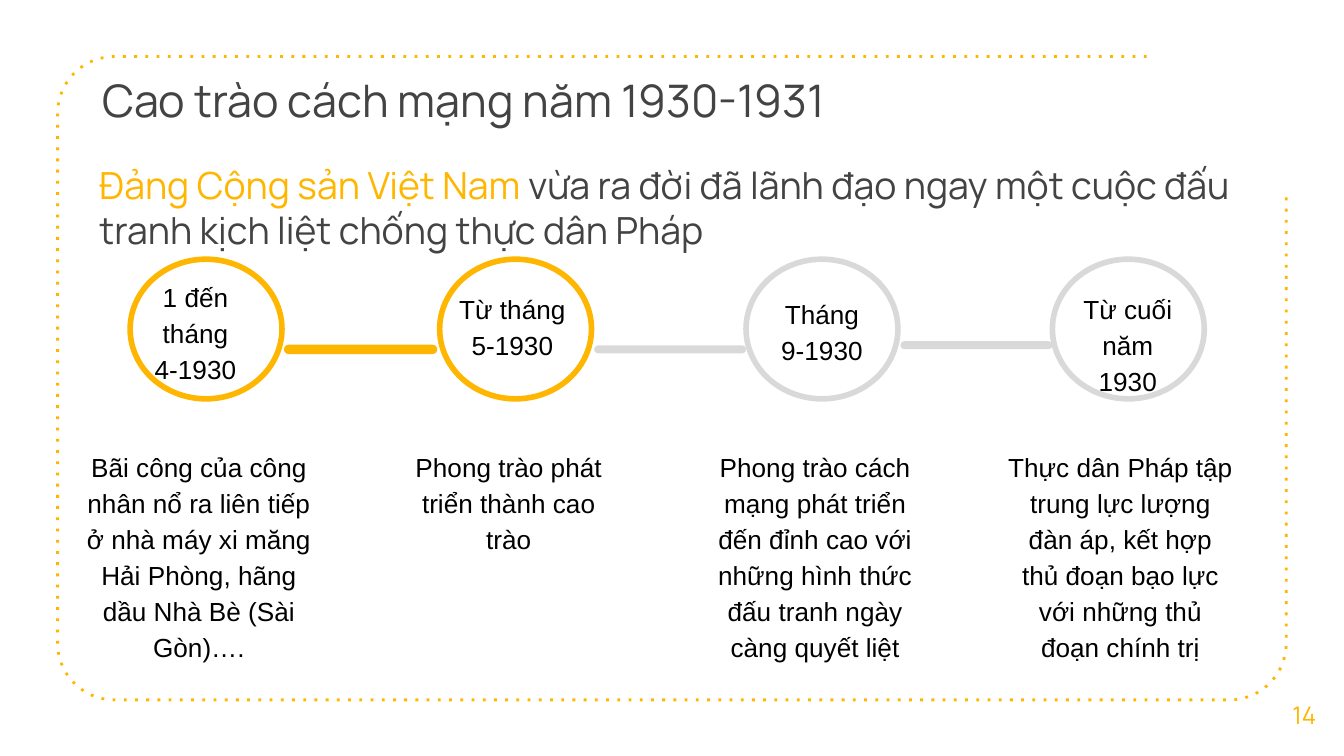
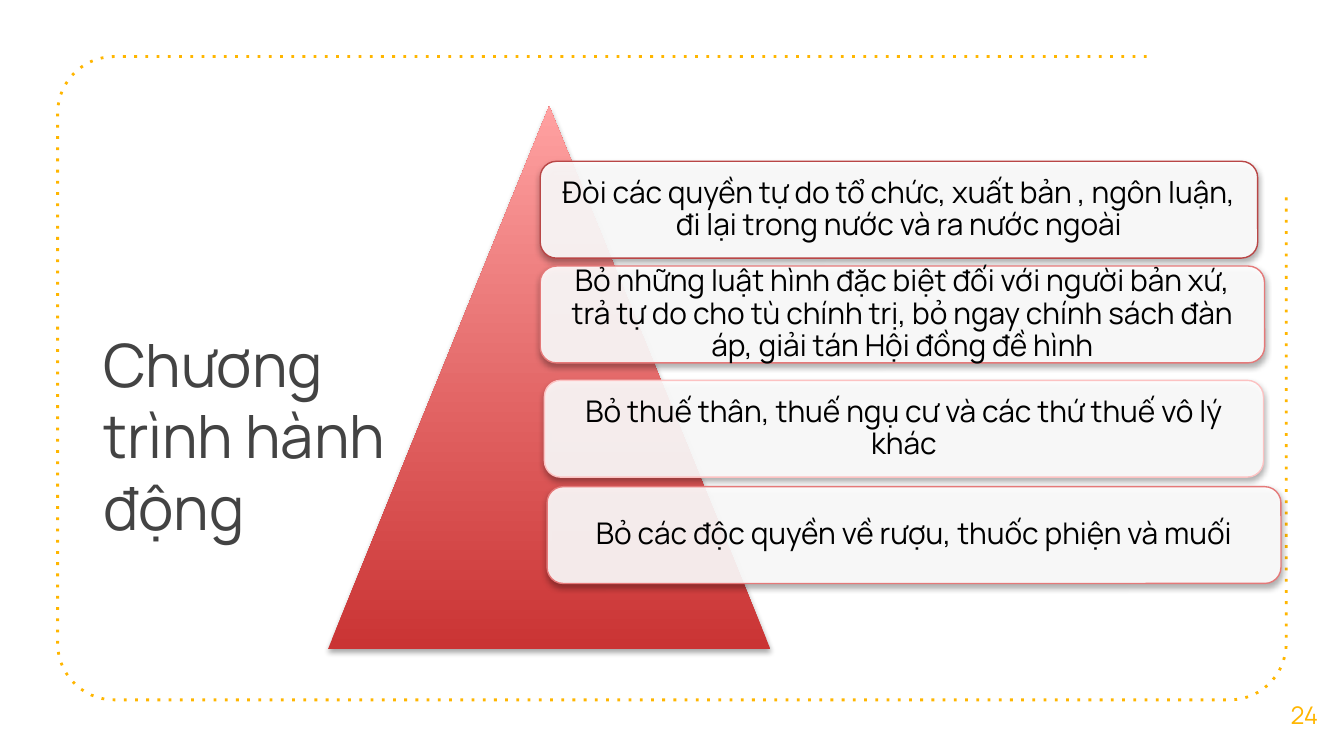
"""Builds two history slides: a timeline of 1930-1931 and a programme pyramid."""
from math import cos, pi, sin

from lxml.etree import SubElement
from pptx import Presentation
from pptx.dml.color import RGBColor
from pptx.enum.dml import MSO_LINE
from pptx.enum.shapes import MSO_SHAPE
from pptx.enum.text import MSO_ANCHOR, PP_ALIGN
from pptx.oxml.ns import qn
from pptx.util import Cm, Pt

GOLD = RGBColor(0xFF, 0xB6, 0x00)
GREY = RGBColor(0xD9, 0xD9, 0xD9)
DARK = RGBColor(0x43, 0x43, 0x43)
BLACK = RGBColor(0, 0, 0)
WHITE = RGBColor(0xFF, 0xFF, 0xFF)
RED = RGBColor(0xCA, 0x34, 0x34)
PINK = RGBColor(0xFF, 0xA1, 0xA1)
BRICK = RGBColor(0xB9, 0x46, 0x46)
CORAL = RGBColor(0xE5, 0x79, 0x79)
BLUSH = RGBColor(0xFC, 0xC2, 0xC2)

HEAD = "Cao trào cách mạng năm 1930-1931"
LEAD = [
    ("Đảng Cộng sản Việt Nam ", GOLD),
    ("vừa ra đời đã lãnh đạo ngay một cuộc đấu tranh kịch liệt chống thực dân Pháp", DARK),
]
STAGES = [
    dict(date="1 đến tháng 4-1930", color=GOLD, ring=2.46, label=(2.64, 4.98, 2.11), note=(1.32, 4.88),
         text="Bãi công của công nhân nổ ra liên tiếp ở nhà máy xi măng Hải Phòng, "
              "hãng dầu Nhà Bè (Sài Gòn)…."),
    dict(date="Từ tháng 5-1930", color=GOLD, ring=8.31, label=(8.25, 5.21, 2.87), note=(7.24, 4.75),
         text="Phong trào phát triển thành cao trào"),
    dict(date="Tháng 9-1930", color=GREY, ring=14.1, label=(14.48, 5.31, 2.11), note=(13.03, 4.75),
         text="Phong trào cách mạng phát triển đến đỉnh cao với những hình thức "
              "đấu tranh ngày càng quyết liệt"),
    dict(date="Từ cuối năm 1930", color=GREY, ring=19.89, label=(20.12, 5.21, 2.39), note=(18.8, 4.75),
         text="Thực dân Pháp tập trung lực lượng đàn áp, kết hợp thủ đoạn bạo lực "
              "với những thủ đoạn chính trị"),
]
BARS = [6.53, 6.53, 6.45]

GOAL = "Chương trình hành động"
CARDS = [
    (10.21, 3.05, 13.56, BRICK,
     "Đòi các quyền tự do tổ chức, xuất bản , ngôn luận, đi lại trong nước và ra nước ngoài"),
    (10.21, 5.03, 13.69, CORAL,
     "Bỏ những luật hình đặc biệt đối với người bản xứ, trả tự do cho tù chính trị, "
     "bỏ ngay chính sách đàn áp, giải tán Hội đồng đề hình"),
    (10.29, 7.19, 13.59, BLUSH, "Bỏ thuế thân, thuế ngụ cư và các thứ thuế vô lý khác"),
    (10.34, 9.2, 13.87, CORAL, "Bỏ các độc quyền về rượu, thuốc phiện và muối"),
]


def write(slide, text, box, size=14, color=BLACK, font="Manrope", align=PP_ALIGN.LEFT,
          anchor=MSO_ANCHOR.TOP, inset=0.25, space=None, after=None):
    frame = slide.shapes.add_textbox(*map(Cm, box)).text_frame
    frame.word_wrap = True
    frame.vertical_anchor = anchor
    frame.margin_left = frame.margin_right = Cm(inset)
    frame.margin_top = frame.margin_bottom = Cm(inset)
    para = frame.paragraphs[0]
    para.alignment = align
    para.line_spacing = space
    para.space_after = after
    runs = [(text, color)] if isinstance(text, str) else text
    for words, tint in runs:
        run = para.add_run()
        run.text = words
        run.font.name = font
        run.font.size = Pt(size)
        run.font.color.rgb = tint


def draw(slide, kind, box, fill=None, line=None, width=0.75):
    shape = slide.shapes.add_shape(kind, *map(Cm, box))
    shape.shadow.inherit = False
    if fill is None:
        shape.fill.background()
    else:
        shape.fill.solid()
        shape.fill.fore_color.rgb = fill
    if line is None:
        shape.line.fill.background()
    else:
        shape.line.color.rgb = line
        shape.line.width = Pt(width)
    return shape


def fade(color, percent):
    SubElement(color, qn("a:alpha"), val=str(percent * 1000))


def shade(shape):
    effects = shape.element.spPr.find(qn("a:effectLst"))
    outer = SubElement(effects, qn("a:outerShdw"), blurRad=str(Pt(3.1)), dist=str(Pt(1.8)),
                       dir="5400000", rotWithShape="0")
    fade(SubElement(outer, qn("a:srgbClr"), val=str(BLACK)), 35)


def border(slide):
    left, top, right, low, curve = 1.09, 1.07, 24.31, 13.23, 1.07
    corners = [(left + curve, top + curve, 270), (left + curve, low - curve, 180),
               (right - curve, low - curve, 90)]
    points = []
    for x, y, start in corners:
        for step in range(16):
            turn = (start - step * 6) * pi / 180
            points.append((Cm(x + curve * cos(turn)), Cm(y + curve * sin(turn))))
    points.append((Cm(right), Cm(3.71)))
    path = slide.shapes.build_freeform(Cm(21.67), Cm(top), scale=1.0)
    path.add_line_segments(points, close=False)
    shape = path.convert_to_shape()
    shape.shadow.inherit = False
    shape.fill.background()
    shape.line.color.rgb = GOLD
    shape.line.width = Pt(1.5)
    shape.line.dash_style = MSO_LINE.ROUND_DOT
    shape.element.find(".//" + qn("a:prstDash")).set("val", "dot")


def begin(deck, number):
    slide = deck.slides.add_slide(deck.slide_layouts[6])
    border(slide)
    write(slide, number, (23.9, 12.75, 1.5, 1.52), size=13, color=GOLD,
          align=PP_ALIGN.CENTER, anchor=MSO_ANCHOR.MIDDLE)
    return slide


def timeline(deck):
    slide = begin(deck, "14")
    write(slide, HEAD, (1.68, 1.12, 21.08, 2.51), size=24, color=DARK)
    write(slide, LEAD, (1.63, 2.82, 22.28, 2.29), size=20)
    for stage, after, y in zip(STAGES, STAGES[1:], BARS):
        tint = after["color"]
        bar = draw(slide, MSO_SHAPE.ROUNDED_RECTANGLE, (stage["ring"] + 2.92, y, 2.87, 0.15),
                   fill=tint, line=tint if tint == GOLD else None)
        bar.adjustments[0] = 0.5
    style = dict(font="Arial", align=PP_ALIGN.CENTER, space=1.15, after=Pt(16))
    for stage in STAGES:
        draw(slide, MSO_SHAPE.OVAL, (stage["ring"], 4.9, 2.87, 2.64), line=stage["color"], width=3)
        write(slide, stage["date"], (*stage["label"], 1.42), **style)
        x, width = stage["note"]
        write(slide, stage["text"], (x, 8.2, width, 2.06), **style)


def pyramid(deck):
    slide = begin(deck, "24")
    write(slide, GOAL, (1.7, 5.94, 6.45, 1.73), size=32, color=DARK)
    peak = draw(slide, MSO_SHAPE.ISOSCELES_TRIANGLE, (6.2, 2.01, 8.36, 10.26))
    peak.fill.gradient()
    peak.fill.gradient_angle = 90
    for stop, place, color in zip(peak.fill.gradient_stops, (0, 1), (RED, PINK)):
        stop.position = place
        stop.color.rgb = color
    shade(peak)
    tall, pad = 1.83, 0.09
    for x, y, width, color, text in CARDS:
        card = draw(slide, MSO_SHAPE.ROUNDED_RECTANGLE, (x, y, width, tall), fill=WHITE, line=color)
        fade(card.element.spPr.find(qn("a:solidFill"))[0], 90)
        shade(card)
        write(slide, text, (x + pad, y + pad, width - 2 * pad, tall - 2 * pad), size=16,
              align=PP_ALIGN.CENTER, anchor=MSO_ANCHOR.MIDDLE, inset=0.18, space=0.9)


def main():
    deck = Presentation()
    deck.slide_width, deck.slide_height = Cm(25.4), Cm(14.29)
    timeline(deck)
    pyramid(deck)
    deck.save("out.pptx")


if __name__ == "__main__":
    main()
